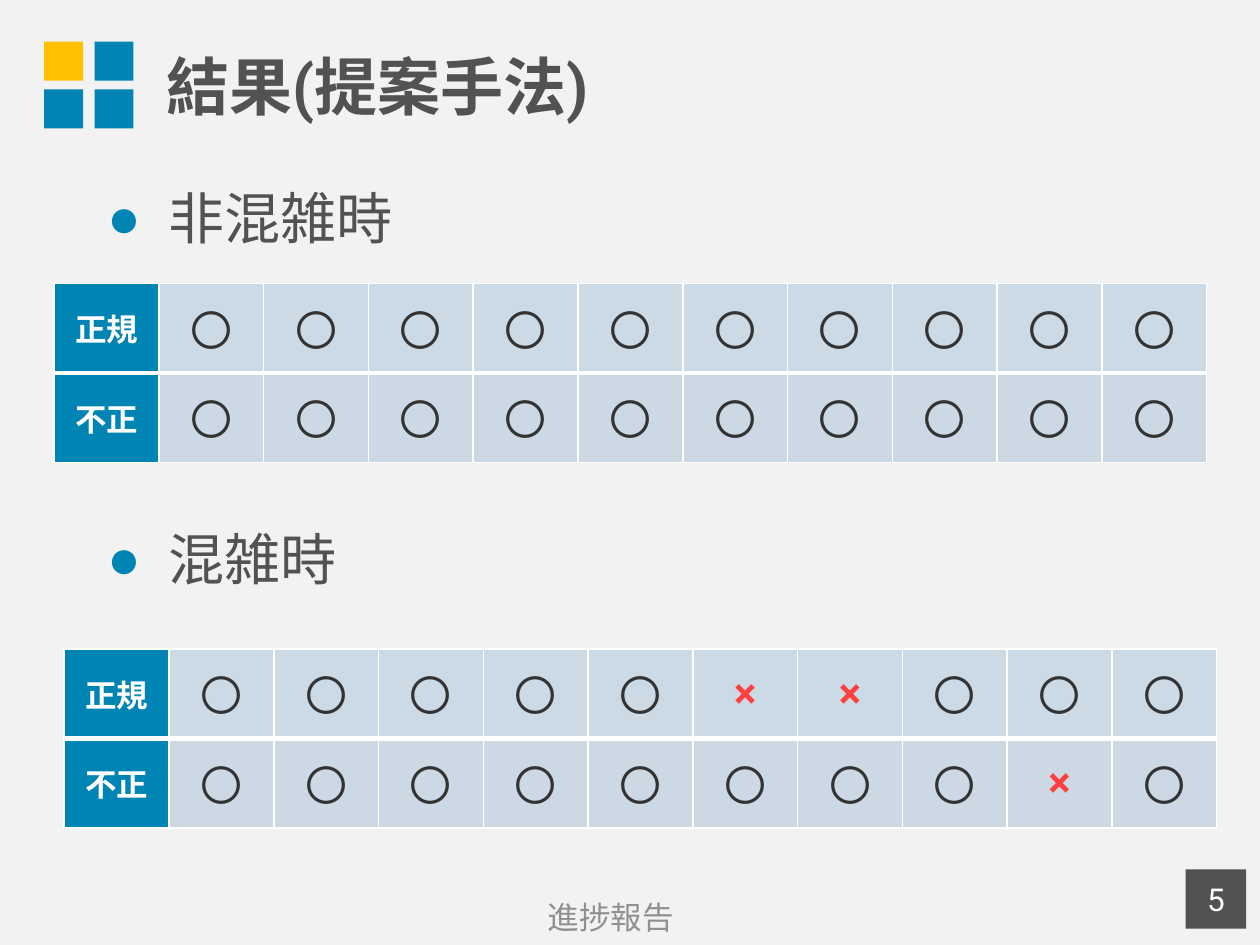
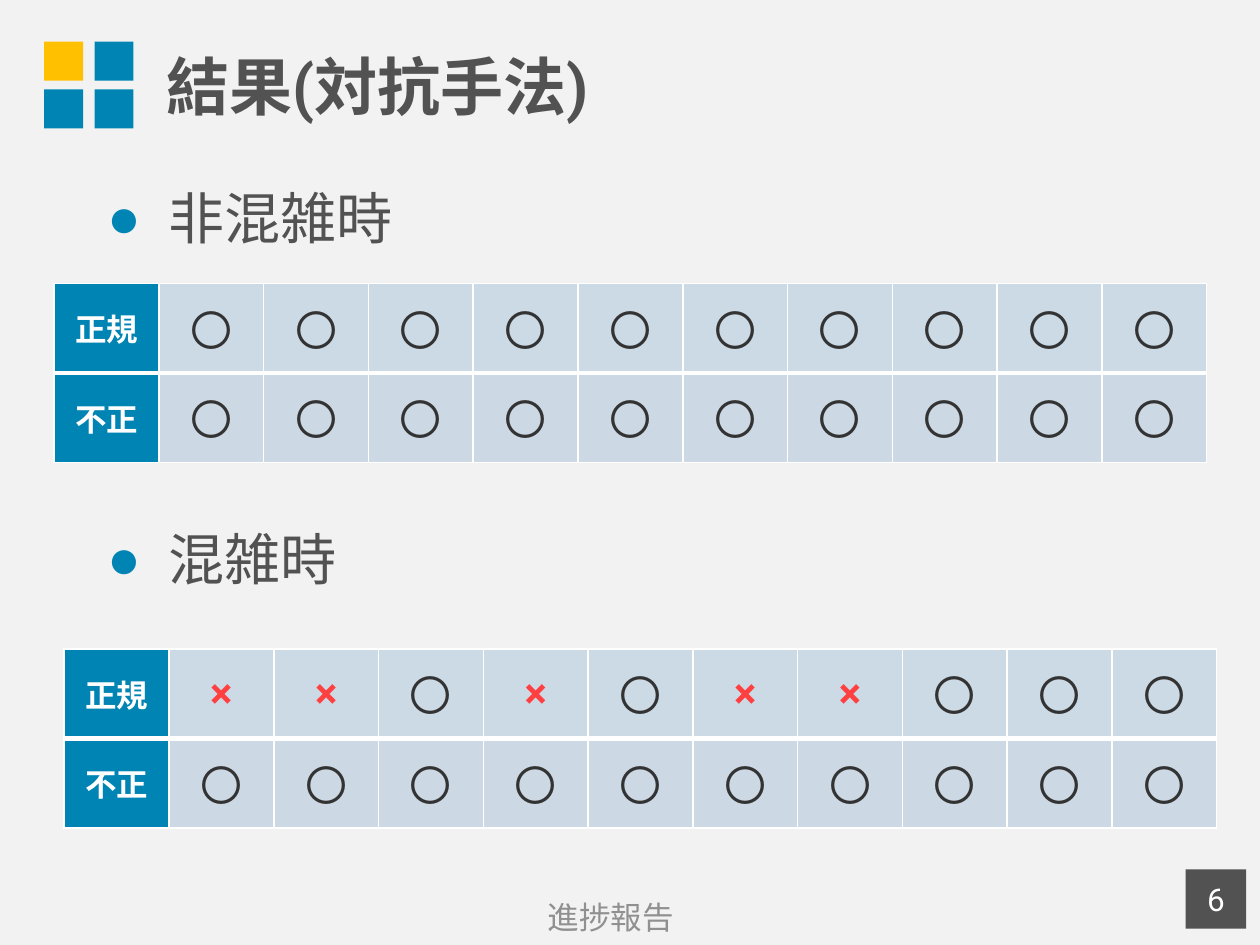
from pptx import Presentation
from pptx.dml.color import RGBColor as Rgb
from pptx.enum.shapes import MSO_SHAPE as Shape
from pptx.enum.text import MSO_ANCHOR as Anchor, MSO_AUTO_SIZE as AutoSize, PP_ALIGN as Align
from pptx.oxml.ns import qn
from pptx.util import Inches, Pt
from lxml.etree import SubElement, Element

COLORS = {
    "paper": "F2F2F2", "blue": "0084B4", "yellow": "FFC000", "grey": "525252",
    "footer": "909090", "white": "FFFFFF", "pass": "333333", "fail": "FF4040",
    "upper row": "CCDAE6", "lower row": "CCD9E5",
}
FONT = "Roboto"
ALL_PASS = "〇" * 10
QUIET = {"正規": ALL_PASS, "不正": ALL_PASS}
# title, page number, marks at busy times
RESULTS = [
    ("結果(提案手法)", 5, {"正規": "〇〇〇〇〇××〇〇〇", "不正": "〇〇〇〇〇〇〇〇×〇"}),
    ("結果(対抗手法)", 6, {"正規": "××〇×〇××〇〇〇", "不正": ALL_PASS}),
]


class ReportDeck:
    """Holds the report style and the current slide; places are percent of the slide."""

    def __init__(self):
        self.deck = Presentation()
        self.deck.slide_width, self.deck.slide_height = Inches(10), Inches(7.5)
        self.paint(self.deck.slide_master.background, "paper")
        self.slide = None

    def area(self, left, top, width, height):
        across, down = self.deck.slide_width / 100, self.deck.slide_height / 100
        return [int(v) for v in (left * across, top * down, width * across, height * down)]

    def paint(self, item, color):
        item.fill.solid()
        item.fill.fore_color.rgb = Rgb.from_string(COLORS[color])

    def style(self, para, size, color, bold=False, align=Align.CENTER):
        para.alignment = align
        for span in para.runs:
            span.font.name, span.font.size, span.font.bold = FONT, Pt(size), bold
            span.font.color.rgb = Rgb.from_string(COLORS[color])

    def move(self, box, place):
        box.left, box.top, box.width, box.height = self.area(*place)
        box.text_frame.auto_size = AutoSize.NONE

    def new_slide(self, title, number):
        self.slide = self.deck.slides.add_slide(self.deck.slide_layouts[1])
        self.emblem()
        self.title(title)
        self.footer("進捗報告")
        self.page_number(number)

    def square(self, shapes, place, color):
        box = shapes.add_shape(Shape.RECTANGLE, *self.area(*place))
        box.shadow.inherit = False
        self.paint(box, color)
        box.line.fill.background()
        return box

    def emblem(self):
        group = self.slide.shapes.add_group_shape()
        for row in range(2):
            for column in range(2):
                color = "blue" if row or column else "yellow"
                place = (3.5 + 4 * column, 4.4 + 5.07 * row, 3.1, 4.13)
                self.square(group.shapes, place, color)

    def title(self, text):
        box = self.slide.shapes.title
        self.move(box, (12.2, 0.67, 87.8, 16.67))
        box.text_frame.text = text
        box.text_frame.vertical_anchor = Anchor.MIDDLE
        self.style(box.text_frame.paragraphs[0], 36, "grey", True, Align.LEFT)

    def bullets(self, items, gap):
        box = self.slide.placeholders[1]
        self.move(box, (7.5, 19.6, 91.5, 74.8))
        box.text_frame.text = "\n".join(items)
        for index, para in enumerate(box.text_frame.paragraphs):
            self.style(para, 32, "grey", align=Align.LEFT)
            para.line_spacing = 0.9
            para.space_before = Pt(gap if index else 12)
            props = para._p.get_or_add_pPr()
            props.set("marL", str(Inches(0.49)))
            props.set("indent", str(-Inches(0.49)))
            tint = SubElement(props, qn("a:buClr"))
            SubElement(tint, qn("a:srgbClr"), val=COLORS["blue"])
            SubElement(props, qn("a:buChar"), char="●")

    def footer(self, text):
        box = self.slide.shapes.add_textbox(*self.area(3.5, 94.4, 89.9, 5.33))
        box.text_frame.word_wrap = True
        box.text_frame.text = text
        box.text_frame.vertical_anchor = Anchor.MIDDLE
        self.style(box.text_frame.paragraphs[0], 18, "footer")

    def page_number(self, number):
        box = self.square(self.slide.shapes, (94.1, 92, 4.8, 6.27), "grey")
        box.text_frame.text = str(number)
        box.text_frame.vertical_anchor = Anchor.MIDDLE
        self.style(box.text_frame.paragraphs[0], 18, "white")

    def borders(self, cell, bottom):
        props = cell._tc.get_or_add_tcPr()
        for index, (side, width) in enumerate(zip("LRTB", (1, 1, 1, bottom))):
            line = Element(qn("a:ln" + side), w=str(Pt(width)))
            fill = SubElement(line, qn("a:solidFill"))
            SubElement(fill, qn("a:srgbClr"), val=COLORS["white"])
            props.insert(index, line)

    def mark_table(self, left, top, marks):
        frame = self.slide.shapes.add_table(2, 11, *self.area(left, top, 91.5, 18.93))
        table = frame.table
        table.first_row = table.horz_banding = False
        for row, (label, signs) in enumerate(marks.items()):
            for column, text in enumerate([label, *signs]):
                cell = table.cell(row, column)
                cell.text_frame.text = text
                cell.vertical_anchor = Anchor.MIDDLE
                para = cell.text_frame.paragraphs[0]
                if column == 0:
                    self.paint(cell, "blue")
                    self.style(para, 18, "white", True)
                else:
                    failed = text == "×"
                    self.paint(cell, "lower row" if row else "upper row")
                    self.style(para, 24, "fail" if failed else "pass", failed)
                self.borders(cell, 1 if row else 3)


def main():
    report = ReportDeck()
    for title, number, busy in RESULTS:
        report.new_slide(title, number)
        report.bullets(["非混雑時", "混雑時"], gap=160)
        report.mark_table(4.3, 30, QUIET)
        report.mark_table(5.1, 68.67, busy)
    report.deck.save("out.pptx")


if __name__ == "__main__":
    main()
